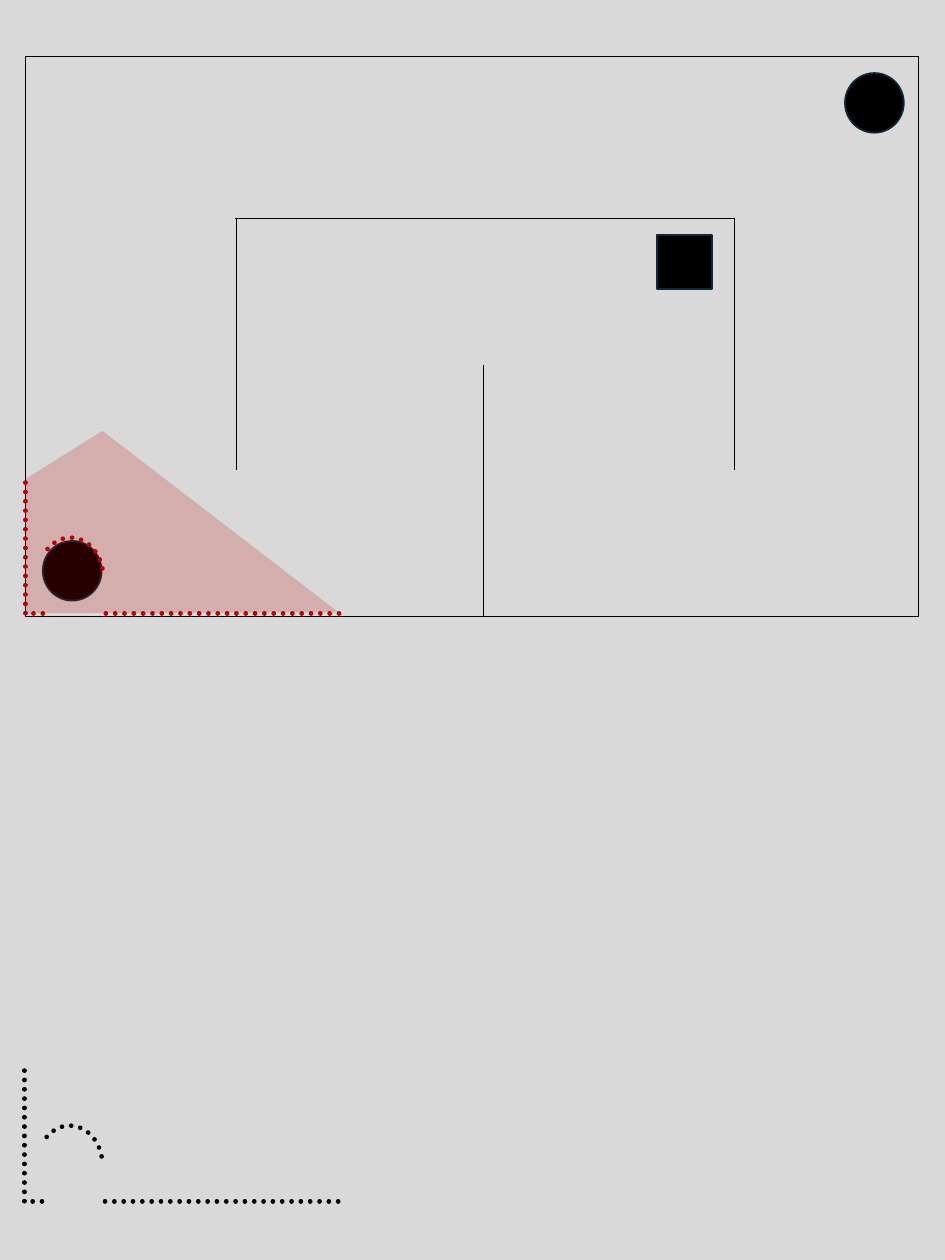
from typing import NamedTuple, Optional

from lxml import etree
from pptx import Presentation
from pptx.dml.color import RGBColor
from pptx.enum.dml import MSO_LINE
from pptx.enum.shapes import MSO_CONNECTOR, MSO_SHAPE
from pptx.oxml.ns import qn
from pptx.util import Inches, Pt

RECTANGLE, OVAL, ARC = MSO_SHAPE.RECTANGLE, MSO_SHAPE.OVAL, MSO_SHAPE.ARC
STRAIGHT = MSO_CONNECTOR.STRAIGHT
DOTTED = MSO_LINE.ROUND_DOT

COLORS = {"floor": "D9D9D9", "ink": "000000", "edge": "092A39", "scan": "C00000"}


class Box(NamedTuple):
    left: float
    top: float
    width: float
    height: float


class Wall(NamedTuple):
    x1: float
    y1: float
    x2: float
    y2: float


class Stroke(NamedTuple):
    color: str
    width: float
    dotted: bool = False


ROOM = Box(0.3, 0.67, 10.64, 6.67)
WALLS = [Wall(2.82, 2.6, 2.82, 5.59), Wall(5.76, 4.35, 5.76, 7.33),
         Wall(8.74, 2.6, 8.74, 5.59), Wall(2.8, 2.6, 8.74, 2.6)]
OBSTACLES = [(OVAL, Box(0.51, 6.44, 0.7, 0.71)),
             (OVAL, Box(10.06, 0.87, 0.7, 0.71)),
             (RECTANGLE, Box(7.82, 2.8, 0.66, 0.64))]
VIEW = [(0.31, 5.7), (1.22, 5.13), (4.03, 7.29), (0.3, 7.3)]
SCAN_ARC = Box(0.45, 6.4, 0.78, 0.94)
SCAN_ARC_START = 138.414  # 230.69 degrees
SCAN_LINES = [Wall(0.3, 7.3, 0.3, 5.71), Wall(0.51, 7.3, 0.3, 7.3),
              Wall(1.26, 7.3, 4.09, 7.3)]
COPY_SHIFT = (-0.01, 7.0)


def color_of(name: str) -> RGBColor:
    return RGBColor.from_string(COLORS[name])


def apply_stroke(shape, stroke: Stroke) -> None:
    shape.line.color.rgb = color_of(stroke.color)
    shape.line.width = Pt(stroke.width)
    if stroke.dotted:
        shape.line.dash_style = DOTTED
        shape._element.spPr.find(qn("a:ln")).set("cap", "rnd")


def add_shape(shapes, kind, box: Box, stroke: Stroke, fill: Optional[str] = None):
    shape = shapes.add_shape(kind, *(Inches(value) for value in box))
    shape.shadow.inherit = False
    if fill:
        shape.fill.solid()
        shape.fill.fore_color.rgb = color_of(fill)
    else:
        shape.fill.background()
    apply_stroke(shape, stroke)
    return shape


def add_line(shapes, wall: Wall, stroke: Stroke) -> None:
    connector = shapes.add_connector(STRAIGHT, *(Inches(value) for value in wall))
    apply_stroke(connector, stroke)
    etree.SubElement(connector._element.spPr, qn("a:effectLst"))


def add_view(shapes, opacity: int) -> None:
    points = [(Inches(x), Inches(y)) for x, y in VIEW]
    builder = shapes.build_freeform(*points[0])
    builder.add_line_segments(points[1:], close=True)
    shape = builder.convert_to_shape()
    shape.shadow.inherit = False
    shape.fill.solid()
    shape.fill.fore_color.rgb = color_of("scan")
    color = shape._element.spPr.find(qn("a:solidFill")).find(qn("a:srgbClr"))
    etree.SubElement(color, qn("a:alpha")).set("val", str(opacity * 1000))
    shape.line.fill.background()


def add_scan(shapes, color: str, dx: float = 0, dy: float = 0) -> None:
    stroke = Stroke(color, 4, dotted=True)
    box = SCAN_ARC._replace(left=SCAN_ARC.left + dx, top=SCAN_ARC.top + dy)
    arc = add_shape(shapes, ARC, box, stroke)
    arc.adjustments[0] = SCAN_ARC_START
    arc.adjustments[1] = 0
    for x1, y1, x2, y2 in SCAN_LINES:
        add_line(shapes, Wall(x1 + dx, y1 + dy, x2 + dx, y2 + dy), stroke)


def main() -> None:
    presentation = Presentation()
    presentation.slide_width = Inches(11.25)
    presentation.slide_height = Inches(15)
    slide = presentation.slides.add_slide(presentation.slide_layouts[6])
    slide.background.fill.solid()
    slide.background.fill.fore_color.rgb = color_of("floor")

    # Room with walls and obstacles
    room = slide.shapes.add_group_shape().shapes
    thin = Stroke("ink", 1)
    add_shape(room, RECTANGLE, ROOM, thin, "floor")
    for wall in WALLS:
        add_line(room, wall, thin)
    for kind, box in OBSTACLES:
        add_shape(room, kind, box, Stroke("edge", 1.5), "ink")

    # Field of view and the edges it detects
    add_view(room, opacity=20)
    add_scan(room, "scan")

    # Detected edges on their own
    add_scan(slide.shapes.add_group_shape().shapes, "ink", *COPY_SHIFT)

    presentation.save("out.pptx")


if __name__ == "__main__":
    main()
